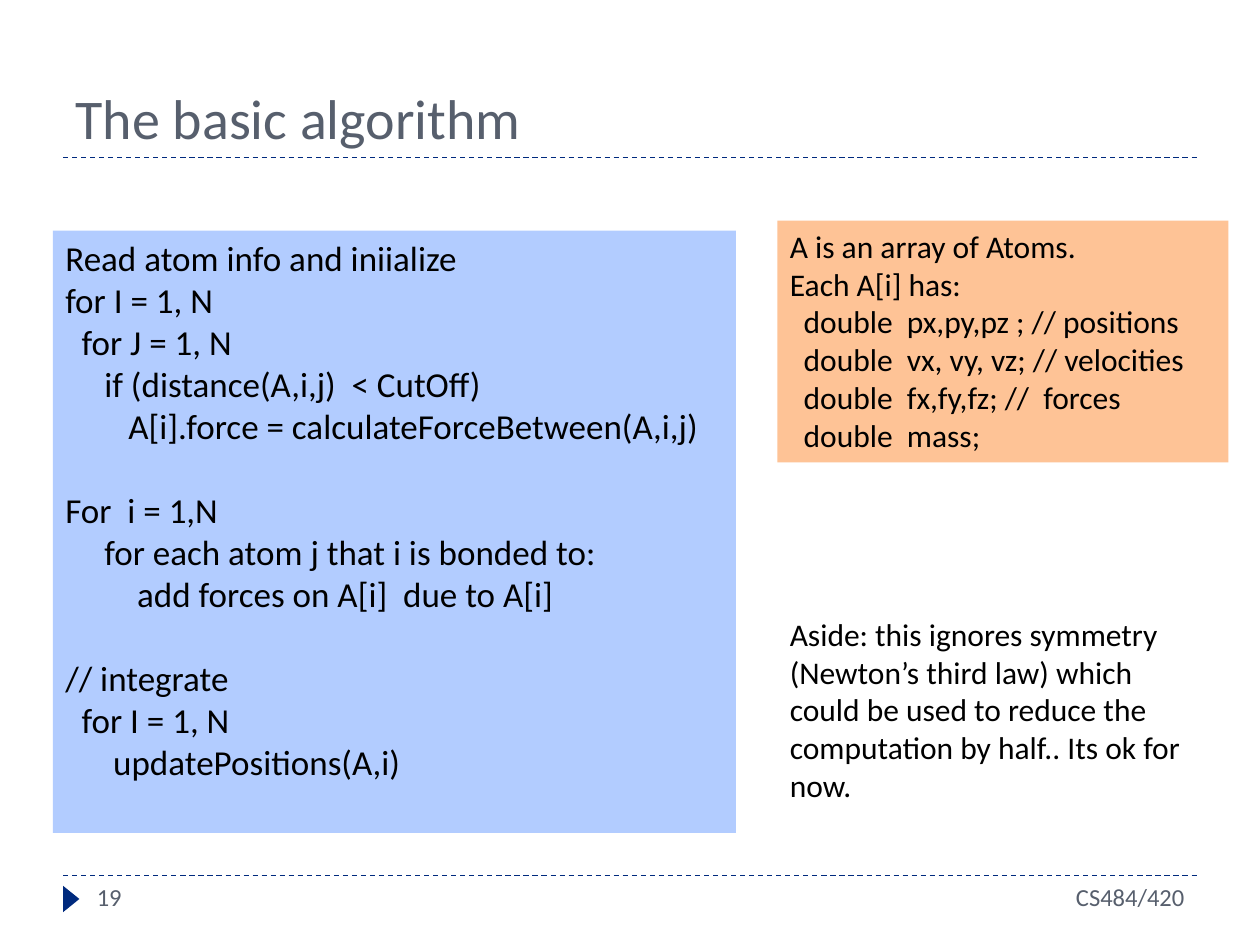
from pptx import Presentation
from pptx.dml.color import RGBColor
from pptx.enum.dml import MSO_LINE
from pptx.enum.shapes import MSO_CONNECTOR, MSO_SHAPE
from pptx.enum.text import MSO_ANCHOR, MSO_AUTO_SIZE, PP_ALIGN
from pptx.oxml.ns import qn
from pptx.util import Inches, Pt
from lxml.etree import SubElement

NAVY = RGBColor(0x00, 0x2A, 0x7E)
SLATE = RGBColor(0x57, 0x5F, 0x6D)
BLACK = RGBColor(0x00, 0x00, 0x00)
BLUE = RGBColor(0xB2, 0xCC, 0xFF)
ORANGE = RGBColor(0xFE, 0xC3, 0x96)
FONT = "Calibri"


def style_paragraph(para, size, color, align=PP_ALIGN.LEFT):
    """Align a paragraph and set the font of its runs."""
    para.alignment = align
    for span in para.runs:
        span.font.name = FONT
        span.font.size = Pt(size)
        span.font.color.rgb = color


def add_text(page, place, lines, size, color=BLACK, fill=None, align=PP_ALIGN.LEFT):
    """Add a box of lines, each given as indent (inches), space before (points), text."""
    left, top, width, height = map(Inches, place)
    if fill is None:
        box = page.shapes.add_textbox(left, top, width, height)
    else:
        box = page.shapes.add_shape(MSO_SHAPE.RECTANGLE, left, top, width, height)
        box.shadow.inherit = False
        box.fill.solid()
        box.fill.fore_color.rgb = fill
        box.line.fill.background()
    frame = box.text_frame
    frame.word_wrap = True
    frame.auto_size = MSO_AUTO_SIZE.NONE
    frame.vertical_anchor = MSO_ANCHOR.TOP
    frame.text = "\n".join(text for _, _, text in lines)
    for para, (indent, space, _) in zip(frame.paragraphs, lines):
        style_paragraph(para, size, color, align)
        para.space_before = Pt(space)
        para._p.get_or_add_pPr().set("marL", str(Inches(indent)))


deck = Presentation()
deck.slide_width, deck.slide_height = Inches(10), Inches(7.5)
page = deck.slides.add_slide(deck.slide_layouts[5])

# Rules and page marker
for y in (6.95, 1.25):
    rule = page.shapes.add_connector(
        MSO_CONNECTOR.STRAIGHT, Inches(0.5), Inches(y), Inches(9.5), Inches(y))
    rule.line.color.rgb = NAVY
    rule.line.width = Pt(0.75)
    rule.line.dash_style = MSO_LINE.DASH
    SubElement(rule._element.spPr, qn("a:effectLst"))

marker = page.shapes.add_shape(
    MSO_SHAPE.ISOSCELES_TRIANGLE, Inches(0.46), Inches(7.07), Inches(0.21), Inches(0.13))
marker.rotation = 90
marker.shadow.inherit = False
marker.fill.solid()
marker.fill.fore_color.rgb = NAVY
marker.line.fill.background()

# Title
title = page.shapes.title
title.left, title.top, title.width, title.height = map(Inches, (0.5, 0.25, 9, 1))
title.text_frame.text = "The basic algorithm"
title.text_frame.vertical_anchor = MSO_ANCHOR.BOTTOM
title.text_frame.auto_size = MSO_AUTO_SIZE.NONE
style_paragraph(title.text_frame.paragraphs[0], 32, SLATE)

# Code panels and aside
algorithm = [
    (0, 0, "Read atom info and iniialize"),
    (0, 0, "for I = 1, N"),
    (0.13, 0, "for J = 1, N"),
    (0.31, 0, "if (distance(A,i,j)  < CutOff)"),
    (0.5, 0, "A[i].force = calculateForceBetween(A,i,j)"),
    (0, 24, "For  i = 1,N"),
    (0.31, 0, "for each atom j that i is bonded to:"),
    (0.57, 0, "add forces on A[i]  due to A[i]"),
    (0, 24, "// integrate"),
    (0.13, 0, "for I = 1, N"),
    (0.38, 0, "updatePositions(A,i)"),
]
atom_fields = [
    (0, 0, "A is an array of Atoms."),
    (0, 0, "Each A[i] has:"),
    (0.11, 0, "double  px,py,pz ; // positions"),
    (0.11, 0, "double  vx, vy, vz; // velocities"),
    (0.11, 0, "double  fx,fy,fz; //  forces"),
    (0.11, 0, "double  mass;"),
]
aside = ("Aside: this ignores symmetry (Newton’s third law) which could be used "
         "to reduce the computation by half.. Its ok for now.")
add_text(page, (0.42, 1.83, 5.42, 4.78), algorithm, 20, fill=BLUE)
add_text(page, (6.17, 1.75, 3.58, 1.92), atom_fields, 18, fill=ORANGE)
add_text(page, (6.17, 4.83, 3.33, 1.62), [(0, 0, aside)], 18)

# Footer
add_text(page, (0.67, 6.95, 2.17, 0.4), [(0, 0, "19")], 14, SLATE)
add_text(page, (7, 6.95, 2.5, 0.4), [(0, 0, "CS484/420")], 14, SLATE, align=PP_ALIGN.RIGHT)

deck.save("out.pptx")
